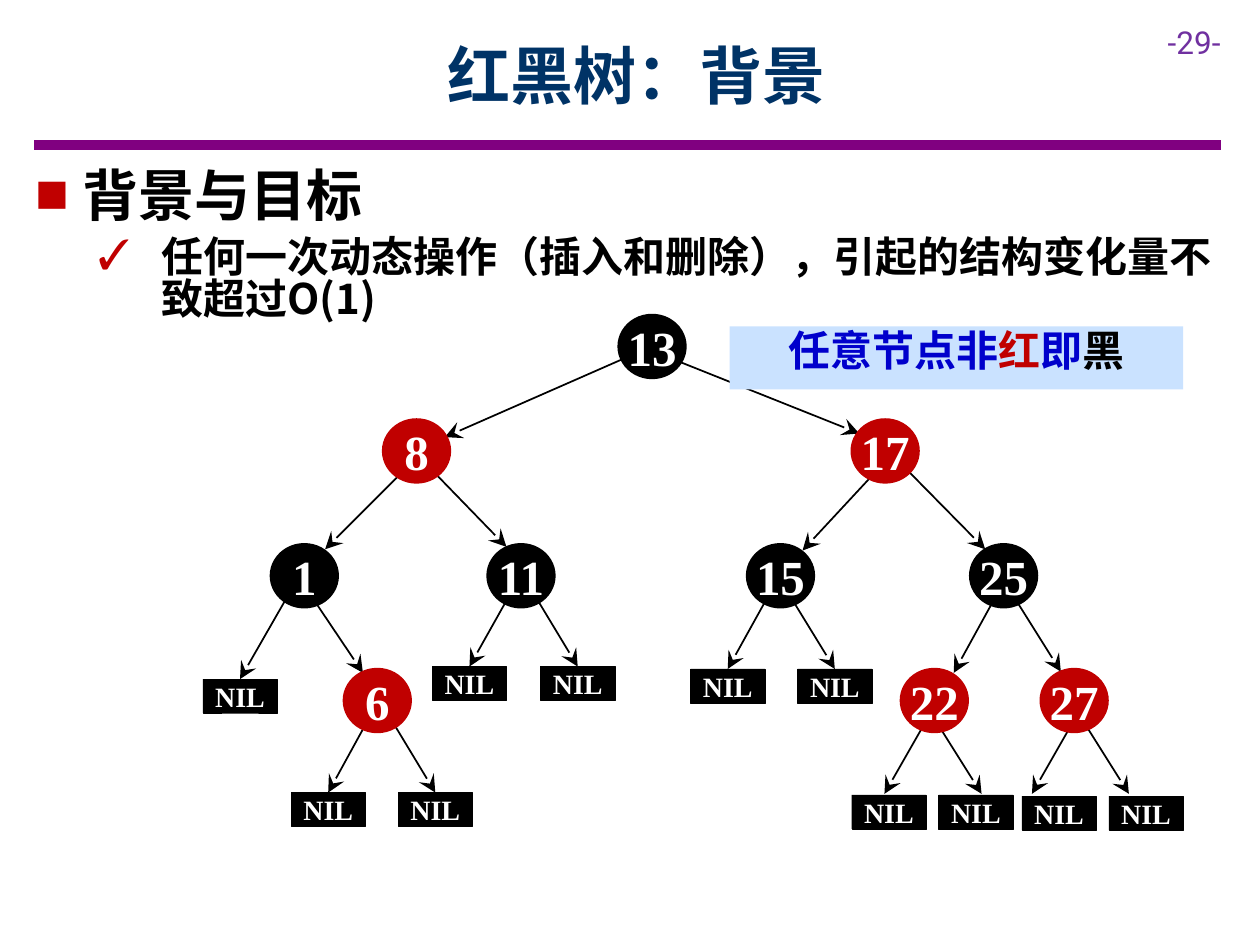
from typing import NamedTuple, Optional

from lxml.etree import SubElement
from pptx import Presentation
from pptx.dml.color import RGBColor
from pptx.enum.shapes import MSO_CONNECTOR, MSO_SHAPE
from pptx.enum.text import MSO_ANCHOR, PP_ALIGN
from pptx.oxml.ns import qn
from pptx.util import Pt

BLACK = RGBColor(0, 0, 0)
WHITE = RGBColor(255, 255, 255)
RED = RGBColor(0xC0, 0, 0)
NAVY = RGBColor(0, 0x33, 0x66)
BLUE = RGBColor(0, 0, 0xCC)
PALE = RGBColor(0xCA, 0xE2, 0xFF)
PLUM = RGBColor(0x80, 0, 0x80)
VIOLET = RGBColor(0x70, 0x30, 0xA0)

SANS = "Noto Sans CJK SC"
SERIF = "Times New Roman"
TIGHT = 0.84


class Box(NamedTuple):
    x: float
    y: float
    w: float
    h: float


class Node(NamedTuple):
    key: str
    x: float
    y: float
    fill: RGBColor


class Edge(NamedTuple):
    x: float
    y: float
    to_x: float
    to_y: float
    leaf: Optional[int] = None


NODES = [
    Node("13", 352.8, 179.3, BLACK),
    Node("8", 218.2, 239, RED),
    Node("17", 486, 239, RED),
    Node("11", 277.9, 310.3, BLACK),
    Node("1", 154.1, 310.3, BLACK),
    Node("6", 195.8, 381.6, RED),
    Node("15", 426.2, 310.3, BLACK),
    Node("25", 553.7, 310.3, BLACK),
    Node("27", 594, 381.6, RED),
    Node("22", 514.1, 381.6, RED),
]

LEAVES = [
    (115.9, 388.1), (166.3, 452.9), (227.5, 452.9), (247, 380.9),
    (308.9, 380.9), (394.6, 382.3), (455.8, 382.3), (486.7, 454.3),
    (536.4, 454.3), (583.9, 455), (633.6, 455),
]

EDGES = [
    Edge(613.4, 403.2, 645.1, 453.6),
    Edge(618.5, 403.2, 589.7, 453.6),
    Edge(529.2, 403.2, 560.9, 453.6),
    Edge(534.2, 403.2, 505.4, 453.6),
    Edge(445.7, 331.2, 477.4, 381.6, 6),
    Edge(444.2, 331.2, 416.2, 382.3, 5),
    Edge(298.8, 329, 330.5, 380.2, 4),
    Edge(297.4, 329, 269.3, 380.2, 3),
    Edge(217.4, 401, 249.1, 451.4, 2),
    Edge(216, 401, 187.2, 452.2, 1),
    Edge(170.6, 329.8, 137.5, 387.4, 0),
    Edge(574.6, 333.4, 606.2, 383.8),
    Edge(573.1, 333.4, 545, 384.5),
    Edge(505.4, 264.2, 458.6, 314.6),
    Edge(513.4, 263.5, 563, 313.9),
    Edge(176.4, 338.4, 207.4, 384.5),
    Edge(240.5, 262.1, 289.4, 312.5),
    Edge(239, 260.6, 185.8, 313.9),
    Edge(380.9, 203.8, 491, 247.7),
    Edge(372.2, 198, 254.2, 249.8),
]


def style(run, size: float, face: str, color: RGBColor, bold: bool = True) -> None:
    font = run.font
    font.size = Pt(size)
    font.bold = bold
    font.color.rgb = color
    font.name = face
    SubElement(run.font._element, qn("a:ea"), typeface=face)


def add_text(slide, box: Box):
    shape = slide.shapes.add_textbox(*map(Pt, box))
    shape.text_frame.word_wrap = True
    return shape


def add_line(slide, edge: Edge, color: RGBColor, width: float):
    line = slide.shapes.add_connector(MSO_CONNECTOR.STRAIGHT, *map(Pt, edge[:4]))
    line.line.color.rgb = color
    line.line.width = Pt(width)
    SubElement(line._element.spPr, qn("a:effectLst"))
    return line


def add_arrow(slide, edge: Edge, leaves: list) -> None:
    line = add_line(slide, edge, BLACK, 1)
    SubElement(line.line._get_or_add_ln(), qn("a:tailEnd"), type="stealth", w="lg", len="lg")
    if edge.leaf is not None:
        line.end_connect(leaves[edge.leaf], 0)


def add_key(slide, kind, box: Box, fill: RGBColor, text: str, size: float):
    shape = slide.shapes.add_shape(kind, *map(Pt, box))
    shape.shadow.inherit = False
    shape.fill.solid()
    shape.fill.fore_color.rgb = fill
    shape.line.fill.background()
    frame = shape.text_frame
    frame.margin_left = frame.margin_right = 0
    frame.margin_top = frame.margin_bottom = 0
    frame.word_wrap = False
    frame.vertical_anchor = MSO_ANCHOR.MIDDLE
    frame.text = text
    para = frame.paragraphs[0]
    para.alignment = PP_ALIGN.CENTER
    style(para.runs[0], size, SERIF, WHITE)
    return shape


def add_leaf(slide, x: float, y: float):
    leaf = add_key(slide, MSO_SHAPE.RECTANGLE, Box(x, y, 42.5, 19.4), BLACK, "NIL", 16)
    leaf.line.color.rgb = BLACK
    leaf.line.width = Pt(0.25)
    return leaf


def add_point(para, mark: str, left: float, hang: float, size: float) -> None:
    props = para._p.get_or_add_pPr()
    props.set("marL", str(Pt(left)))
    props.set("indent", str(-Pt(hang)))
    tint = SubElement(props, qn("a:buClr"))
    SubElement(tint, qn("a:srgbClr"), val=str(RED))
    SubElement(props, qn("a:buFont"), typeface=SERIF)
    SubElement(props, qn("a:buChar"), char=mark)
    para.line_spacing = TIGHT
    para.space_after = Pt(6)
    style(para.runs[0], size, SANS, BLACK)


def add_head(slide) -> None:
    add_line(slide, Edge(19.5, 82.8, 697.7, 82.8), PLUM, 6)
    page = add_text(slide, Box(660.2, 9.4, 59.8, 28.8)).text_frame
    page.text = "-29-"
    style(page.paragraphs[0].runs[0], 18, "Roboto", VIOLET, False)
    title = add_text(slide, Box(64.8, 6.5, 598.3, 72)).text_frame
    title.vertical_anchor = MSO_ANCHOR.MIDDLE
    title.text = "红黑树：背景"
    title.paragraphs[0].alignment = PP_ALIGN.CENTER
    style(title.paragraphs[0].runs[0], 36, SANS, NAVY)


def add_body(slide) -> None:
    body = add_text(slide, Box(13, 94.3, 686.2, 110.2)).text_frame
    body.text = "背景与目标\n任何一次动态操作（插入和删除），引起的结构变化量不致超过O(1)"
    goal, rule = body.paragraphs
    add_point(goal, "■", 27, 27, 32)
    rule.level = 1
    add_point(rule, "✓", 72, 36, 24)


def add_note(slide) -> None:
    note = add_text(slide, Box(416.9, 186.5, 259.2, 36))
    note.fill.solid()
    note.fill.fore_color.rgb = PALE
    para = note.text_frame.paragraphs[0]
    para.alignment = PP_ALIGN.CENTER
    para.line_spacing = TIGHT
    para.space_after = Pt(6)
    for text, color in (("任意节点非", BLUE), ("红", RED), ("即", BLUE), ("黑", BLACK)):
        run = para.add_run()
        run.text = text
        style(run, 24, SANS, color)


def main() -> None:
    deck = Presentation()
    deck.slide_width, deck.slide_height = Pt(720), Pt(540)
    slide = deck.slides.add_slide(deck.slide_layouts[6])
    add_head(slide)
    add_body(slide)
    leaves = [add_leaf(slide, x, y) for x, y in LEAVES]
    for edge in EDGES:
        add_arrow(slide, edge, leaves)
    for node in NODES:
        box = Box(node.x, node.y, 39.6, 37.4)
        add_key(slide, MSO_SHAPE.OVAL, box, node.fill, node.key, 28)
    add_note(slide)
    deck.save("out.pptx")


if __name__ == "__main__":
    main()
